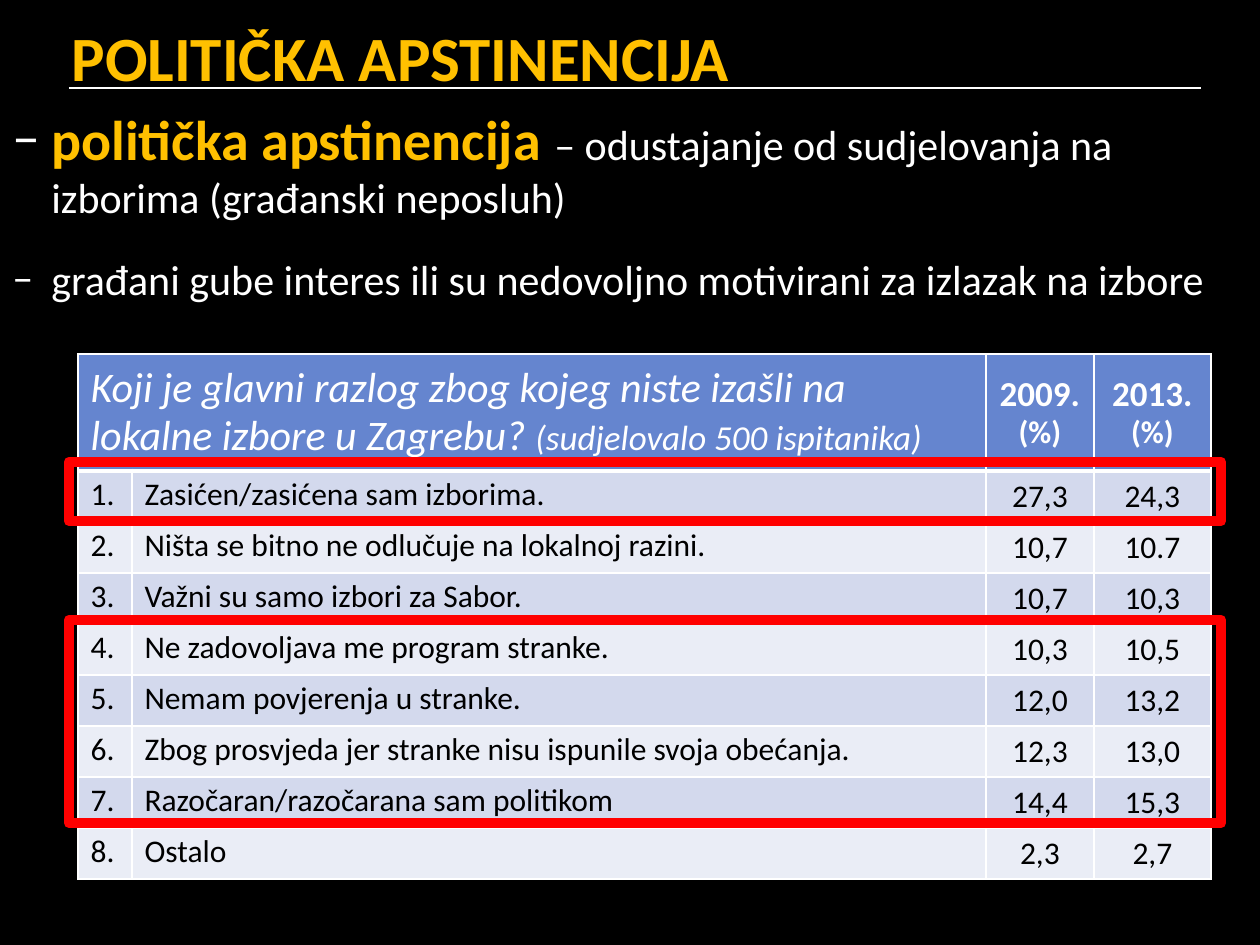
from lxml.etree import SubElement
from pptx import Presentation
from pptx.dml.color import RGBColor
from pptx.enum.shapes import MSO_CONNECTOR as Connector, MSO_SHAPE as Shape
from pptx.enum.text import MSO_ANCHOR as Anchor, PP_ALIGN as Align
from pptx.oxml.ns import qn
from pptx.util import Emu, Pt

SCALE = 914400 / 126
FONT = "Calibri"
GOLD, WHITE, BLACK, RED = "FFC000", "FFFFFF", "000000", "FF0000"
HEADER_FILL, BAND_FILLS = "6585CF", ("D3D9ED", "EAEDF6")
COLUMN_WIDTHS = (54, 854, 108, 117)
HEADER_HEIGHT, ROW_HEIGHT = 117, 51
REASONS = (
    ("Zasićen/zasićena sam izborima.", "27,3", "24,3"),
    ("Ništa se bitno ne odlučuje na lokalnoj razini.", "10,7", "10.7"),
    ("Važni su samo izbori za Sabor.", "10,7", "10,3"),
    ("Ne zadovoljava me program stranke.", "10,3", "10,5"),
    ("Nemam povjerenja u stranke.", "12,0", "13,2"),
    ("Zbog prosvjeda jer stranke nisu ispunile svoja obećanja.", "12,3", "13,0"),
    ("Razočaran/razočarana sam politikom", "14,4", "15,3"),
    ("Ostalo", "2,3", "2,7"),
)


def px(length):
    """Turn whole pixels into EMU."""
    return Emu(round(length * SCALE))


def rgb(color):
    """Turn a hex string into a colour."""
    return RGBColor.from_string(color)


def add_span(para, text, size, color, bold=False, italic=False):
    """Append formatted text to a paragraph."""
    span = para.add_run()
    span.text = text
    font = span.font
    font.name, font.size, font.bold, font.italic = FONT, Pt(size), bold, italic
    font.color.rgb = rgb(color)


def set_title(page, text):
    """Place and format the title placeholder."""
    title = page.shapes.title
    title.left, title.top, title.width, title.height = map(px, (59, 10, 1201, 79))
    frame = title.text_frame
    frame.vertical_anchor = Anchor.TOP
    frame.margin_top = px(9)
    frame.paragraphs[0].alignment = Align.LEFT
    add_span(frame.paragraphs[0], text, 36, GOLD, bold=True)


def add_rule(page, left, right, y):
    """Draw the thin line under the title."""
    rule = page.shapes.add_connector(Connector.STRAIGHT, px(left), px(y), px(right), px(y))
    rule.line.color.rgb = rgb(WHITE)
    rule.line.width = Pt(1)
    SubElement(rule._element.spPr, qn("a:effectLst"))


def set_dash(para):
    """Give a paragraph a hanging white dash."""
    para.space_before = Pt(18)
    props = para._p.get_or_add_pPr()
    props.set("marL", str(px(39)))
    props.set("indent", str(-px(39)))
    SubElement(SubElement(props, qn("a:buClr")), qn("a:srgbClr"), val=WHITE)
    SubElement(props, qn("a:buFont"), typeface=FONT)
    SubElement(props, qn("a:buChar"), char="–")


def add_points(page):
    """Add the two dashed statements."""
    box = page.shapes.add_textbox(px(0), px(98), px(1260), px(767))
    frame = box.text_frame
    frame.word_wrap = True
    first, second = frame.paragraphs[0], frame.add_paragraph()
    set_dash(first)
    set_dash(second)
    add_span(first, "politička apstinencija ", 32, GOLD, bold=True)
    add_span(first, "– odustajanje od sudjelovanja na izborima (građanski neposluh)", 24, WHITE)
    add_span(second, "građani gube interes ili su nedovoljno motivirani za izlazak na izbore", 24, WHITE)


def style_cell(cell, fill, bottom=1):
    """Set the fill and white borders of a cell."""
    cell.fill.solid()
    cell.fill.fore_color.rgb = rgb(fill)
    props = cell._tc.get_or_add_tcPr()
    for place, (side, width) in enumerate((("L", 1), ("R", 1), ("T", 1), ("B", bottom))):
        border = SubElement(props, qn(f"a:ln{side}"), w=str(Pt(width)))
        SubElement(SubElement(border, qn("a:solidFill")), qn("a:srgbClr"), val=WHITE)
        props.insert(place, border)


def cell_para(cell, centred=False, anchor=Anchor.MIDDLE):
    """Return the prepared first paragraph of a cell."""
    cell.vertical_anchor = anchor
    para = cell.text_frame.paragraphs[0]
    para.line_spacing = 0.93
    para.alignment = Align.CENTER if centred else Align.LEFT
    return para


def fill_header(table):
    """Write the question and the year headings."""
    table.cell(0, 0).merge(table.cell(0, 1))
    for column in range(len(COLUMN_WIDTHS)):
        style_cell(table.cell(0, column), HEADER_FILL, bottom=3)
    question = cell_para(table.cell(0, 0))
    add_span(question, "Koji je glavni razlog zbog kojeg niste izašli na lokalne izbore u Zagrebu? ",
             24, WHITE, italic=True)
    add_span(question, "(sudjelovalo 500 ispitanika)", 20, WHITE, italic=True)
    for column, year in enumerate(("2009. ", "2013. "), start=2):
        heading = cell_para(table.cell(0, column), centred=True)
        add_span(heading, year, 20, WHITE, bold=True)
        add_span(heading, "(%)", 18, WHITE, bold=True)


def add_reasons(page):
    """Add the table of reasons for not voting."""
    height = HEADER_HEIGHT + ROW_HEIGHT * len(REASONS)
    table = page.shapes.add_table(len(REASONS) + 1, len(COLUMN_WIDTHS), px(78), px(354),
                                  px(sum(COLUMN_WIDTHS)), px(height)).table
    for column, width in zip(table.columns, COLUMN_WIDTHS):
        column.width = px(width)
    for row in table.rows:
        row.height = px(ROW_HEIGHT)
    table.rows[0].height = px(HEADER_HEIGHT)
    fill_header(table)
    for number, reason in enumerate(REASONS, start=1):
        for column, text in enumerate((f"{number}.", *reason)):
            cell = table.cell(number, column)
            style_cell(cell, BAND_FILLS[(number - 1) % 2])
            is_value = column >= 2
            para = cell_para(cell, is_value, Anchor.MIDDLE if is_value else Anchor.TOP)
            add_span(para, text, 18, BLACK)


def add_highlight(page, top, height):
    """Frame a group of table rows in red."""
    frame = page.shapes.add_shape(Shape.RECTANGLE, px(69), px(top), px(1152), px(height))
    frame.shadow.inherit = False
    frame.fill.background()
    frame.line.color.rgb = rgb(RED)
    frame.line.width = Pt(6)
    SubElement(frame.line._get_or_add_ln(), qn("a:round"))


def main():
    """Build and save the slide."""
    deck = Presentation()
    deck.slide_width, deck.slide_height = px(1260), px(945)
    page = deck.slides.add_slide(deck.slide_layouts[5])
    page.background.fill.solid()
    page.background.fill.fore_color.rgb = rgb(BLACK)
    add_rule(page, 69, 1201, 88)
    add_reasons(page)
    set_title(page, "POLITIČKA APSTINENCIJA")
    add_points(page)
    add_highlight(page, 462, 59)
    add_highlight(page, 620, 203)
    deck.save("out.pptx")


if __name__ == "__main__":
    main()
